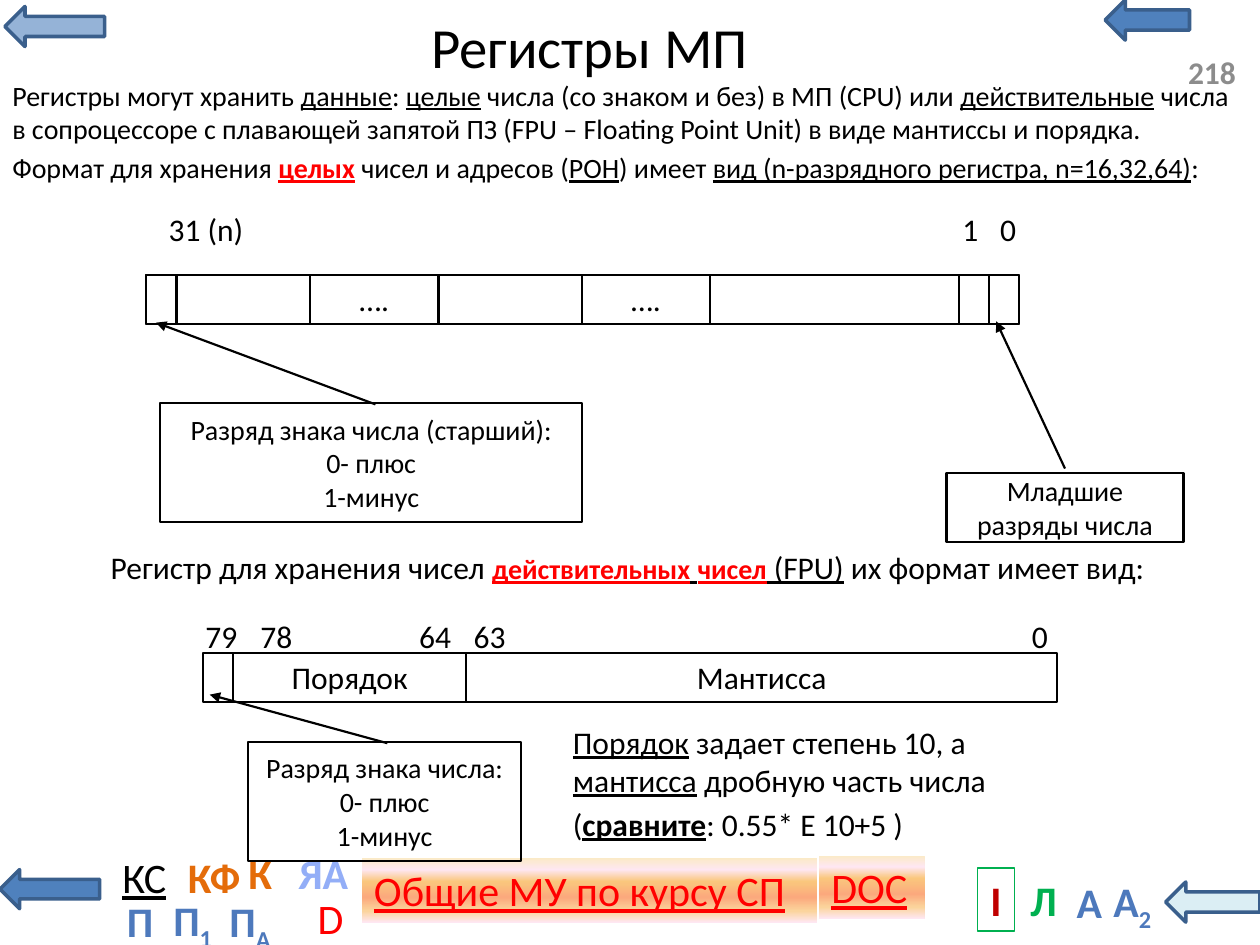
from pptx import Presentation
from pptx.dml.color import RGBColor
from pptx.enum.shapes import MSO_SHAPE
from pptx.enum.text import MSO_ANCHOR, PP_ALIGN
from pptx.oxml.ns import qn
from pptx.util import Cm, Pt
from lxml import etree

RECT, ARROW, CALLOUT = MSO_SHAPE.RECTANGLE, MSO_SHAPE.LEFT_ARROW, MSO_SHAPE.LINE_CALLOUT_1
TOP, MIDDLE = MSO_ANCHOR.TOP, MSO_ANCHOR.MIDDLE
LEFT, CENTER = PP_ALIGN.LEFT, PP_ALIGN.CENTER

COLORS = {
    "black": "000000", "white": "FFFFFF", "gray": "8C8C8C", "red": "FF0000",
    "dark_red": "C00000", "green": "00B050", "orange": "E46C0A",
    "blue": "4F81BD", "pale_blue": "95B3D7", "ice": "DBEEF4", "navy": "3A5F8C",
    "letter_blue": "4D79BC", "lavender": "93AEF7",
}
PEACH = [(0, "FBEAC7"), (18, "FEE7F2"), (36, "FAC77D"),
         (61, "FBA97D"), (82, "FBD49C"), (100, "FEE7F2")]
U = {"underline": True}
BU = {"bold": True, "underline": True}
RED = {"bold": True, "underline": True, "color": "red"}
SUB = {"baseline": "-25000"}


def rgb(name):
    return RGBColor.from_string(COLORS[name])


class SlideBuilder:
    font = "Calibri"

    def __init__(self, slide):
        self.slide = slide

    def fill_text(self, sp, paragraphs, size=18, color="black", bold=None, underline=None,
                  align=LEFT, anchor=TOP, wrap=True, gap=0):
        tf = sp.text_frame
        tf.word_wrap = wrap
        tf.vertical_anchor = anchor
        for i, runs in enumerate(paragraphs):
            p = tf.add_paragraph() if i else tf.paragraphs[0]
            p.alignment = align
            if i and gap:
                p.space_before = Pt(gap)
            p.font.name, p.font.size = self.font, Pt(size)
            p.font.bold, p.font.underline = bold, underline
            p.font.color.rgb = rgb(color)
            for run in [runs] if isinstance(runs, str) else runs:
                text, style = (run, {}) if isinstance(run, str) else run
                r = p.add_run()
                r.text = text
                self.style_run(r, **style)

    def style_run(self, r, bold=None, underline=None, color=None, size=None, baseline=None):
        r.font.bold, r.font.underline = bold, underline
        if color:
            r.font.color.rgb = rgb(color)
        if size:
            r.font.size = Pt(size)
        if baseline:
            r.font._element.set("baseline", baseline)

    def text(self, box, *paragraphs, **style):
        sp = self.slide.shapes.add_textbox(*map(Cm, box))
        self.fill_text(sp, paragraphs, **style)

    def shape(self, kind, box, fill=None, line="black", width=1.25):
        sp = self.slide.shapes.add_shape(kind, *map(Cm, box))
        sp.shadow.inherit = False
        if fill:
            sp.fill.solid()
            sp.fill.fore_color.rgb = rgb(fill)
        else:
            sp.fill.background()
        if line:
            sp.line.color.rgb = rgb(line)
            sp.line.width = Pt(width)
        else:
            sp.line.fill.background()
        return sp

    def arrow(self, box, fill):
        self.shape(ARROW, box, fill, "navy", 2)

    def cell(self, box, text=None):
        sp = self.shape(RECT, box)
        if text:
            self.fill_text(sp, [text], align=CENTER, anchor=MIDDLE)

    def callout(self, box, adjustments, *paragraphs):
        sp = self.shape(CALLOUT, box)
        for i, value in enumerate(adjustments):
            sp.adjustments[i] = value
        ln = sp._element.spPr.find(qn("a:ln"))
        etree.SubElement(ln, qn("a:tailEnd"), type="triangle")
        self.fill_text(sp, paragraphs, size=16, align=CENTER, anchor=MIDDLE)

    def framed(self, box, text, line, **style):
        sp = self.shape(RECT, box, line=line, width=0.75)
        self.fill_text(sp, [text], size=24, align=CENTER, wrap=False, **style)

    def button(self, box, text):
        sp = self.shape(RECT, box, line=None)
        sp.fill.gradient()
        sp.fill.gradient_angle = 270
        stops = sp._element.spPr.find(".//" + qn("a:gsLst"))
        stops.clear()
        for position, color in PEACH:
            gs = etree.SubElement(stops, qn("a:gs"), pos=str(position * 1000))
            etree.SubElement(gs, qn("a:srgbClr"), val=color)
        self.fill_text(sp, [text], size=24, color="red", underline=True)


def add_navigation(s):
    s.arrow((22.28, 0, 1.7, 0.81), "blue")
    s.arrow((0, 17.53, 2.01, 0.79), "blue")
    s.arrow((0.1, 0.13, 2.01, 0.81), "pale_blue")
    s.arrow((23.5, 17.78, 1.9, 0.81), "ice")
    s.button((7.29, 17.3, 9.19, 1.3), "Общие МУ по курсу СП")
    s.button((16.51, 17.25, 2.13, 1.27), "DOC")
    s.framed((6.17, 17.86, 0.99, 1.27), "D", "white", color="red")
    s.framed((19.71, 17.5, 0.74, 1.27), "I", "green", color="dark_red", bold=True)
    s.framed((2.11, 17.04, 1.6, 1.27), "КС", "white", underline=True)
    letters = [
        (21.44, 17.55, 1.04, "А", "letter_blue"),
        (4.75, 16.97, 0.99, "К", "orange"),
        (20.52, 17.5, 1.04, "Л", "green"),
        (22.15, 17.53, 1.35, ["А", ("2", SUB)], "letter_blue"),
        (5.72, 16.97, 1.6, "ЯА", "lavender"),
        (2.31, 17.93, 0.84, "П", "letter_blue"),
        (3.2, 17.91, 1.37, ["П", ("1", SUB)], "letter_blue"),
        (3.53, 17.04, 1.57, "КФ", "orange"),
        (4.34, 17.93, 1.4, ["П", ("А", SUB)], "letter_blue"),
    ]
    for x, y, w, runs, color in letters:
        s.text((x, y, w, 1.27), runs, size=24, color=color, bold=True,
               align=CENTER, wrap=False)


def add_integer_register(s):
    y, h, bit = 5.54, 0.99, 0.61
    s.cell((2.95, y, 17.6, h))
    for x in (2.95, 19.33, 19.94):
        s.cell((x, y, bit, h))
    for x in (6.25, 11.73):
        s.cell((x, y, 2.59, h), "….")
    for x, w, label in ((3.15, 2.03, "31 (n)"), (19.15, 0.84, "1"), (19.91, 0.84, "0")):
        s.text((x, 4.11, w, 1.02), label, wrap=False)
    s.callout((3.23, 8.13, 8.51, 2.39), (0.01, 0.51, -0.68, -0.01),
              "Разряд знака числа (старший):", "0- плюс", "1-минус")
    s.callout((19.08, 9.53, 4.78, 1.4), (-0.06, 0.5, -2.18, 0.21),
              "Младшие разряды числа")


def add_real_register(s):
    y, h = 13.16, 0.99
    s.cell((4.09, y, 0.61, h))
    s.cell((4.7, y, 4.7, h), "Порядок")
    s.cell((9.4, y, 11.91, h), "Мантисса")
    for x, label in ((3.89, "79"), (5, "78"), (8.2, "64"), (9.3, "63"), (20.55, "0")):
        s.text((x, 12.32, 0.86 if label == "0" else 1.19, 1.02), label, wrap=False)
    s.callout((5, 14.96, 5.51, 2.39), (0.01, 0.51, -0.4, -0.14),
              "Разряд знака числа:", "0- плюс", "1-минус")
    s.text((11.3, 14.45, 10.57, 2.9),
           [("Порядок", U), " задает степень 10, а ", ("мантисса", U),
            " дробную часть числа"],
           ["(", ("сравните", BU), ": 0.55* Е 10+5 )"], gap=3.6)


def main():
    prs = Presentation()
    prs.slide_width, prs.slide_height = Cm(25.4), Cm(19.05)
    s = SlideBuilder(prs.slides.add_slide(prs.slide_layouts[6]))
    add_navigation(s)
    s.text((3.61, 0.33, 16.81, 1.17), "Регистры МП ", size=32.4,
           align=CENTER, anchor=MIDDLE)
    s.text((23.7, 0.94, 1.63, 1.02), "218", color="gray", bold=True,
           anchor=MIDDLE, wrap=False)
    s.text((0, 1.45, 25.1, 2.64),
           ["Регистры могут хранить ", ("данные", U), ": ", ("целые", U),
            " числа (со знаком и без) в МП (CPU) или ", ("действительные", U),
            " числа в сопроцессоре с плавающей запятой ПЗ (FPU – Floating Point Unit)"
            " в виде мантиссы и порядка."],
           ["Формат для хранения ", ("целых", RED), " чисел и адресов (", ("РОН", U),
            ") имеет ", ("вид (n-разрядного регистра, n=16,32,64)", U), ":"],
           size=16, gap=3.2)
    add_integer_register(s)
    s.text((1.98, 10.92, 22.4, 1.4),
           ["Регистр для хранения чисел ", ("действительных", {**RED, "size": 16}),
            (" ", U), ("чисел", {**RED, "size": 16}), (" (FPU)", U),
            " их формат имеет вид:"])
    add_real_register(s)
    prs.save("out.pptx")


if __name__ == "__main__":
    main()
